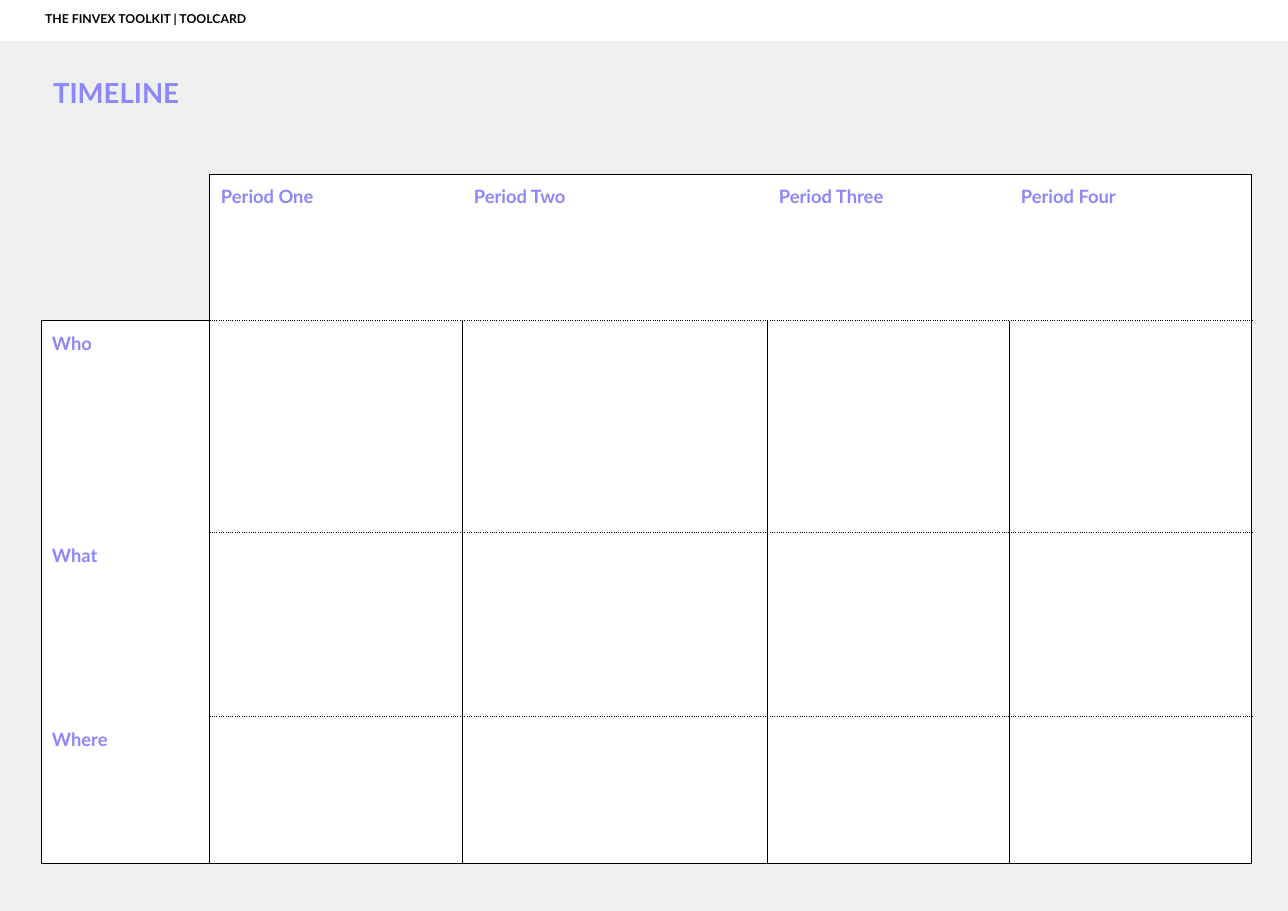
from dataclasses import dataclass

from lxml import etree
from pptx import Presentation
from pptx import util as u
from pptx.dml.color import RGBColor
from pptx.enum import shapes, text
from pptx.oxml import ns

PX = 8298  # EMU per px
INSET = 11
VIOLET, BLACK, WHITE, GREY = "8D86FC", "000000", "FFFFFF", "EFEFEF"
COLUMNS = [169, 253, 305, 242, 242]
ROWS = [147, 212, 184, 147]


@dataclass
class Label:
    row: int
    col: int
    words: str


PERIODS = ["Period One", "Period Two", "Period Three", "Period Four"]
QUESTIONS = ["Who", "What", "Where"]
LABELS = [Label(0, i, w) for i, w in enumerate(PERIODS, 1)]
LABELS += [Label(i, 0, w) for i, w in enumerate(QUESTIONS, 1)]


def px(n: int) -> u.Emu:
    return u.Emu(n * PX)


def rgb(colour: str) -> RGBColor:
    return RGBColor.from_string(colour)


def apply(target, formats: dict) -> None:
    for name, value in formats.items():
        setattr(target, name, value)


def margins() -> dict:
    return {f"margin_{side}": px(INSET) for side in ("left", "top", "right", "bottom")}


def write(tf, words: str, size: int, colour: str, indent: int = 0) -> None:
    p = tf.paragraphs[0]
    p.alignment = text.PP_ALIGN.LEFT
    if indent:
        p._p.get_or_add_pPr().set("marL", str(px(indent)))
    r = p.add_run()
    r.text = words
    apply(r.font, {"name": "Lato", "size": u.Pt(size), "bold": True})
    r.font.color.rgb = rgb(colour)


def format_frame(tf) -> None:
    apply(tf, {**margins(), "word_wrap": True,
               "auto_size": text.MSO_AUTO_SIZE.NONE,
               "vertical_anchor": text.MSO_ANCHOR.TOP})


def add_panel(slide, width: int, height: int, colour: str):
    sp = slide.shapes.add_shape(shapes.MSO_SHAPE.RECTANGLE, 0, 0, px(width), px(height))
    sp.shadow.inherit = False
    sp.fill.solid()
    sp.fill.fore_color.rgb = rgb(colour)
    sp.line.fill.background()
    return sp


def vertical_edge(row: int, x: int) -> str | None:
    return "solid" if row > 0 or x in (1, len(COLUMNS)) else None


def horizontal_edge(col: int, y: int) -> str | None:
    if col == 0:
        return "solid" if y in (1, len(ROWS)) else None
    return "solid" if y in (0, len(ROWS)) else "dot"


def add_border(cell, tag: str, dash: str | None) -> None:
    ln = etree.SubElement(cell._tc.get_or_add_tcPr(), ns.qn(f"a:{tag}"), w=str(u.Pt(0.75)))
    if dash is None:
        etree.SubElement(ln, ns.qn("a:noFill"))
        return
    fill = etree.SubElement(ln, ns.qn("a:solidFill"))
    etree.SubElement(fill, ns.qn("a:srgbClr"), val=BLACK)
    etree.SubElement(ln, ns.qn("a:prstDash"), val=dash)


def format_cell(cell, row: int, col: int) -> None:
    apply(cell, margins())
    edges = {"lnL": vertical_edge(row, col), "lnR": vertical_edge(row, col + 1),
             "lnT": horizontal_edge(col, row), "lnB": horizontal_edge(col, row + 1)}
    for tag, dash in edges.items():
        add_border(cell, tag, dash)
    if row == col == 0:
        cell.fill.background()
    else:
        cell.fill.solid()
        cell.fill.fore_color.rgb = rgb(WHITE)


def add_timeline(slide) -> None:
    table = slide.shapes.add_table(len(ROWS), len(COLUMNS), px(41), px(174),
                                   px(sum(COLUMNS)), px(sum(ROWS))).table
    apply(table, {"first_row": False, "horz_banding": False})
    for column, width in zip(table.columns, COLUMNS):
        column.width = px(width)
    for row, height in zip(table.rows, ROWS):
        row.height = px(height)
    for row in range(len(ROWS)):
        for col in range(len(COLUMNS)):
            format_cell(table.cell(row, col), row, col)
    for label in LABELS:
        write(table.cell(label.row, label.col).text_frame, label.words, 12, VIOLET)


def main() -> None:
    prs = Presentation()
    apply(prs, {"slide_width": px(1288), "slide_height": px(911)})
    slide = prs.slides.add_slide(prs.slide_layouts[5])

    # Title in front of the grey backdrop
    title = slide.shapes.title
    backdrop = add_panel(slide, 1288, 911, GREY)
    title._element.addprevious(backdrop._element)
    apply(title, {"left": px(0), "top": px(65), "width": px(732), "height": px(56)})
    format_frame(title.text_frame)
    write(title.text_frame, "TIMELINE", 18, VIOLET, indent=42)

    # Timeline grid
    add_timeline(slide)

    # Header strip
    strip = add_panel(slide, 1290, 41, WHITE)
    format_frame(strip.text_frame)
    write(strip.text_frame, "THE FINVEX TOOLKIT | TOOLCARD", 8, BLACK, indent=34)

    prs.save("out.pptx")


if __name__ == "__main__":
    main()
